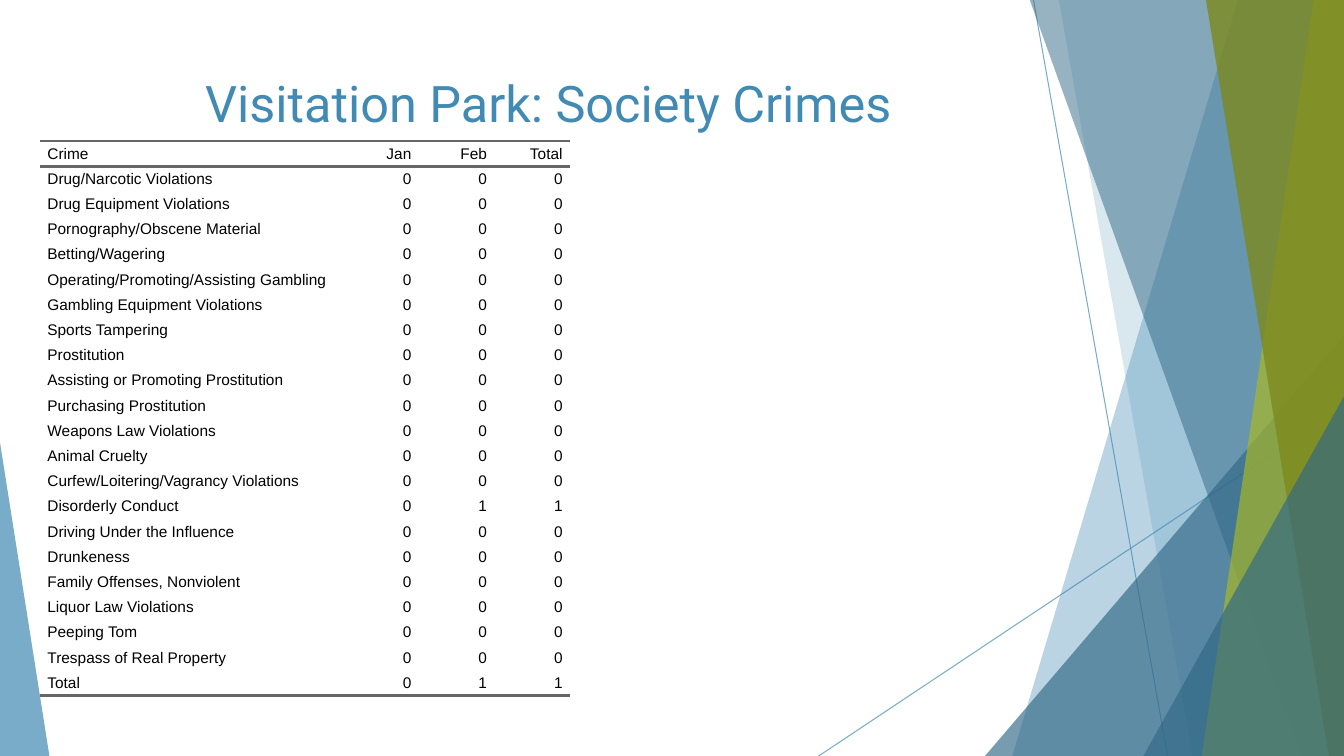
from dataclasses import dataclass

import pptx
import pptx.dml.color
import pptx.enum.shapes
import pptx.enum.text
import pptx.oxml
import pptx.oxml.ns
import pptx.util
from pptx.util import Inches

WIDTH, HEIGHT = 13.33, 7.5
TOP = -0.01
ALIGN = pptx.enum.text.PP_ALIGN
NO_STYLE_TABLE = "{2D5ABB26-0587-4C30-8999-92F81FD0307C}"

HEADER = ["Crime", "Jan", "Feb", "Total"]
CRIMES = [
    "Drug/Narcotic Violations", "Drug Equipment Violations",
    "Pornography/Obscene Material", "Betting/Wagering",
    "Operating/Promoting/Assisting Gambling", "Gambling Equipment Violations",
    "Sports Tampering", "Prostitution", "Assisting or Promoting Prostitution",
    "Purchasing Prostitution", "Weapons Law Violations", "Animal Cruelty",
    "Curfew/Loitering/Vagrancy Violations", "Disorderly Conduct",
    "Driving Under the Influence", "Drunkeness", "Family Offenses, Nonviolent",
    "Liquor Law Violations", "Peeping Tom", "Trespass of Real Property",
]
COUNTS = {"Disorderly Conduct": (0, 1)}


@dataclass(frozen=True)
class Theme:
    blue: str = "418AB3"
    dark_blue: str = "316886"
    green: str = "A6B727"
    dark_green: str = "7D891D"
    ink: str = "000000"
    rule: str = "666666"
    title_font: str = "Roboto"
    body_font: str = "Arial"
    title_size: float = 36
    body_size: float = 11
    cell_spacing: float = 5
    rule_width: float = 2
    hairline: float = 0.75


def rgb(color):
    return pptx.dml.color.RGBColor.from_string(color)


def sub(parent, tag, **attributes):
    child = pptx.oxml.parse_xml(f"<{tag} {pptx.oxml.ns.nsdecls('a')}/>")
    for name, value in attributes.items():
        child.set(name, str(value))
    parent.append(child)
    return child


def set_opacity(fill, percent):
    color = fill._xPr.find(".//" + pptx.oxml.ns.qn("a:srgbClr"))
    sub(color, "a:alpha", val=percent * 1000)


class SlideBuilder:
    def __init__(self, s, theme):
        self.s = s
        self.theme = theme

    def line(self, start, end):
        x1, y1, x2, y2 = (Inches(v) for v in (*start, *end))
        c = self.s.shapes.add_connector(
            pptx.enum.shapes.MSO_CONNECTOR.STRAIGHT, x1, y1, x2, y2)
        c.line.width = pptx.util.Pt(self.theme.hairline)
        c.line.fill.solid()
        c.line.fill.fore_color.rgb = rgb(self.theme.blue)
        set_opacity(c.line.fill, 70)
        sub(c._element.spPr, "a:effectLst")

    def paint(self, sp, color, opacity):
        sp.shadow.inherit = False
        sp.line.fill.background()
        sp.fill.solid()
        sp.fill.fore_color.rgb = rgb(color)
        set_opacity(sp.fill, opacity)

    def band(self, top_left, bottom_left, color, opacity):
        """Fill from a slanted left edge to the right edge of the slide."""
        points = [(Inches(x), Inches(y)) for x, y in (
            (top_left, TOP), (WIDTH, TOP), (WIDTH, HEIGHT), (bottom_left, HEIGHT))]
        builder = self.s.shapes.build_freeform(*points[0], scale=1.0)
        builder.add_line_segments(points[1:], close=True)
        self.paint(builder.convert_to_shape(), color, opacity)

    def corner(self, left, top, width, apex, color, opacity):
        """Triangle standing on the bottom edge; apex runs 0 (left) to 1 (right)."""
        sp = self.s.shapes.add_shape(
            pptx.enum.shapes.MSO_SHAPE.ISOSCELES_TRIANGLE, Inches(left),
            Inches(top), Inches(width), Inches(HEIGHT - top))
        sp.adjustments[0] = apex
        self.paint(sp, color, opacity)

    def run(self, p, text, font, size, color):
        r = p.add_run()
        r.text = text
        r.font.name = font
        r.font.size = pptx.util.Pt(size)
        r.font.color.rgb = rgb(color)

    def title(self, text, left, top, width, height):
        t = self.theme
        sp = self.s.shapes.title
        sp.left, sp.top, sp.width, sp.height = map(Inches, (left, top, width, height))
        tf = sp.text_frame
        tf.word_wrap = True
        tf.vertical_anchor = pptx.enum.text.MSO_ANCHOR.TOP
        p = tf.paragraphs[0]
        p.alignment = ALIGN.CENTER
        self.run(p, text, t.title_font, t.title_size, t.blue)
        sp.element.getparent().append(sp.element)

    def border(self, cell, tag):
        ln = sub(cell._tc.get_or_add_tcPr(), tag,
                 w=pptx.util.Pt(self.theme.rule_width))
        sub(sub(ln, "a:solidFill"), "a:srgbClr", val=self.theme.rule)

    def cell(self, cell, text, alignment, borders):
        t = self.theme
        cell.margin_left = cell.margin_right = 0
        cell.margin_top = cell.margin_bottom = 0
        cell.vertical_anchor = pptx.enum.text.MSO_ANCHOR.MIDDLE
        for tag in borders:
            self.border(cell, tag)
        cell.fill.background()
        p = cell.text_frame.paragraphs[0]
        p.alignment = alignment
        p.space_before = p.space_after = pptx.util.Pt(t.cell_spacing)
        pPr = p._p.get_or_add_pPr()
        for name in ("marL", "marR"):
            pPr.set(name, str(Inches(0.07)))
        self.run(p, text, t.body_font, t.body_size, t.ink)

    def table(self, rows, left, top, widths, row_height):
        frame = self.s.shapes.add_table(
            len(rows), len(widths), Inches(left), Inches(top),
            Inches(sum(widths)), Inches(row_height * len(rows)))
        table = frame.table
        table.first_row = table.horz_banding = False
        table._tbl.tblPr.find(pptx.oxml.ns.qn("a:tableStyleId")).text = NO_STYLE_TABLE
        for column, width in zip(table.columns, widths):
            column.width = Inches(width)
        ruled = {0: ("a:lnT", "a:lnB"), len(rows) - 1: ("a:lnB",)}
        for i, row in enumerate(rows):
            table.rows[i].height = Inches(row_height)
            for j, value in enumerate(row):
                alignment = ALIGN.RIGHT if j else ALIGN.LEFT
                self.cell(table.cell(i, j), str(value), alignment, ruled.get(i, ()))


def crime_rows():
    counts = [COUNTS.get(crime, (0, 0)) for crime in CRIMES]
    rows = [[crime, *n, sum(n)] for crime, n in zip(CRIMES, counts)]
    totals = [sum(month) for month in zip(*counts)]
    return [HEADER, *rows, ["Total", *totals, sum(totals)]]


def main():
    prs = pptx.Presentation()
    prs.slide_width, prs.slide_height = Inches(WIDTH), Inches(HEIGHT)
    t = Theme()
    b = SlideBuilder(prs.slides.add_slide(prs.slide_layouts[5]), t)

    b.line((10.25, 0), (11.58, HEIGHT))
    b.line((WIDTH, 4.03), (8.12, HEIGHT))
    b.band(12.28, 10.04, t.blue, 36)
    b.band(10.5, 11.83, t.blue, 20)
    b.corner(9.77, 3.33, 3.56, 1, t.dark_blue, 66)
    b.band(10.21, 12.91, t.dark_blue, 50)
    b.band(13.03, 11.92, t.green, 70)
    b.band(11.96, 13.18, t.dark_green, 80)
    b.corner(11.34, 3.93, 1.99, 1, t.dark_blue, 66)
    b.corner(0, 4.39, 0.49, 0, t.blue, 70)

    b.table(crime_rows(), 0.4, 1.4, [3, 0.75, 0.75, 0.75], 0.25)
    b.title("Visitation Park: Society Crimes", 0.74, 0.67, 9.4, 1.44)
    prs.save("out.pptx")


if __name__ == "__main__":
    main()
